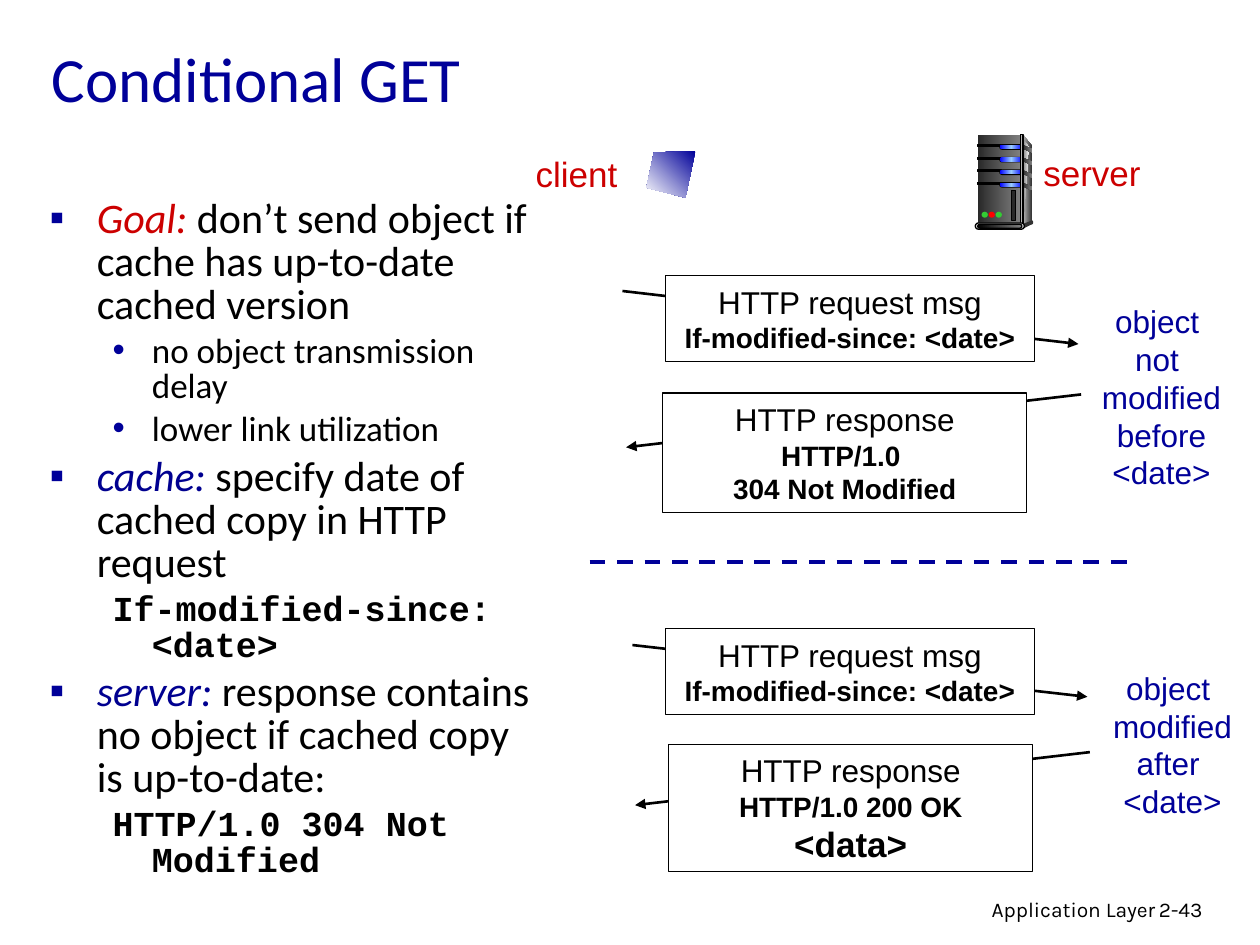
from pptx import Presentation
from pptx.dml.color import RGBColor
from pptx.enum.dml import MSO_LINE_DASH_STYLE as Dash
from pptx.enum.shapes import MSO_CONNECTOR, MSO_SHAPE as Kind
from pptx.enum.text import MSO_ANCHOR as Anchor, PP_ALIGN as Align
from pptx.oxml.ns import qn
from pptx.util import Pt
from lxml.etree import SubElement

BLACK, WHITE, NAVY, BLUE, RED = "000000", "FFFFFF", "000099", "000090", "CC0000"
GLOW = ["0000FF", "99CCFF", "0000FF"]
STEEL = ["292929", "808080"]


def color(code):
    return RGBColor.from_string(code)


def style_span(span, size, code, font="Arial", bold=False, italic=False):
    span.font.size = Pt(size)
    span.font.name = font
    span.font.bold = bold
    span.font.italic = italic
    span.font.color.rgb = color(code)


def add_text(page, bounds, text, size, code, font="Arial", align=Align.LEFT,
             anchor=Anchor.TOP, wrap=True):
    box = page.shapes.add_textbox(*map(Pt, bounds))
    frame = box.text_frame
    frame.text = text
    frame.word_wrap = wrap
    frame.vertical_anchor = anchor
    for para in frame.paragraphs:
        para.alignment = align
        for span in para.runs:
            style_span(span, size, code, font)


def paint(shape, fill, outline=None, angle=0):
    """Fill with one colour, or with a gradient when given a list of colours."""
    shape.shadow.inherit = False
    if isinstance(fill, list):
        shape.fill.gradient()
        gradient = shape.element.spPr.find(qn("a:gradFill"))
        stops = gradient.find(qn("a:gsLst"))
        stops.clear()
        for index, code in enumerate(fill):
            position = str(100000 * index // (len(fill) - 1))
            stop = SubElement(stops, qn("a:gs"), pos=position)
            SubElement(stop, qn("a:srgbClr"), val=code)
        gradient.find(qn("a:lin")).set("ang", str(angle * 60000))
    else:
        shape.fill.solid()
        shape.fill.fore_color.rgb = color(fill)
    if outline:
        shape.line.color.rgb = color(outline)
        shape.line.width = Pt(0.75)
    else:
        shape.line.fill.background()


def add_part(shapes, kind, bounds, fill, outline=None):
    shape = shapes.add_shape(kind, *map(Pt, bounds))
    if kind == Kind.ROUNDED_RECTANGLE:
        shape.adjustments[0] = 0.5
    paint(shape, fill, outline)
    return shape


def add_polygon(shapes, points, fill, angle=0):
    corners = [(Pt(x), Pt(y)) for x, y in points]
    builder = shapes.build_freeform(*corners[0], scale=1.0)
    builder.add_line_segments(corners[1:], close=True)
    paint(builder.convert_to_shape(), fill, angle=angle)


def add_line(page, start, end, code=BLACK, width=1.5, arrow=True):
    line = page.shapes.add_connector(MSO_CONNECTOR.STRAIGHT, *map(Pt, start + end))
    line.line.color.rgb = color(code)
    line.line.width = Pt(width)
    if arrow:
        SubElement(line.line._get_or_add_ln(), qn("a:tailEnd"), type="triangle")
    else:
        line.line.dash_style = Dash.DASH
    SubElement(line.element.spPr, qn("a:effectLst"))


def add_message(page, start, end, bounds, lines):
    """An arrow with a box over it; lines are (text, size), the first one plain."""
    add_line(page, start, end)
    box = add_part(page.shapes, Kind.RECTANGLE, bounds, WHITE, BLACK)
    frame = box.text_frame
    frame.word_wrap = True
    frame.vertical_anchor = Anchor.MIDDLE
    frame.text = "\n".join(text for text, size in lines)
    for index, (para, (text, size)) in enumerate(zip(frame.paragraphs, lines)):
        para.alignment = Align.CENTER
        style_span(para.runs[0], size, BLACK, bold=index > 0)


def add_bullet(para, mark):
    props = para._p.get_or_add_pPr()
    SubElement(SubElement(props, qn("a:buClr")), qn("a:srgbClr"), val=NAVY)
    SubElement(props, qn("a:buFont"), typeface="Arial")
    SubElement(props, qn("a:buChar"), char=mark)


def add_body(page):
    points = [
        ("goal", "Goal:", " don’t send object if cache has up-to-date cached version"),
        ("sub", "no object transmission delay"),
        ("sub", "lower link utilization"),
        ("point", "cache: ", "specify date of cached copy in HTTP request"),
        ("code", "If-modified-since: <date>"),
        ("point", "server: ",
         "response contains no object if cached copy is up-to-date:"),
        ("code", "HTTP/1.0 304 Not Modified"),
    ]
    box = page.shapes.add_textbox(Pt(21.2), Pt(110.2), Pt(294.5), Pt(403.9))
    frame = box.text_frame
    frame.word_wrap = True
    for index, (role, *texts) in enumerate(points):
        para = frame.add_paragraph() if index else frame.paragraphs[0]
        main_point = len(texts) == 2
        size = 24 if main_point else 20
        para.level = 0 if main_point else 1
        margin, indent = (27, -27) if main_point else (58.5, -22.5)
        props = para._p.get_or_add_pPr()
        props.set("marL", str(Pt(margin)))
        props.set("indent", str(Pt(indent)))
        if role != "code":
            add_bullet(para, "▪" if main_point else "•")
        para.line_spacing = 0.85
        if index:
            para.space_before = Pt(size * 0.2)
        for text in texts:
            para.add_run().text = text
        font = "Courier New" if role == "code" else "Calibri"
        for span in para.runs:
            style_span(span, size, BLACK, font, bold=role == "code")
        if main_point:
            lead = RED if role == "goal" else BLUE
            style_span(para.runs[0], size, lead, font, italic=True)


def add_server(page):
    parts = page.shapes.add_group_shape().shapes
    bar, pill, dot = Kind.RECTANGLE, Kind.ROUNDED_RECTANGLE, Kind.OVAL
    add_polygon(parts, [(584.6, 77), (589.7, 83.5), (589.7, 126.7), (583.2, 128.9)],
                ["DDDDDD", "333333"])
    add_part(parts, bar, (558.7, 77, 24.5, 51.8), STEEL)
    add_polygon(parts, [(584.6, 79.9), (588.2, 84.2), (584.6, 127.4)],
                ["808080", "F8F8F8"])
    for bay in range(4):
        top = 82.4 + 7.2 * bay
        add_part(parts, bar, (558.7, top + 0.4, 13.7, 1), BLACK, BLACK)
        add_part(parts, pill, (571, top, 13.7, 3.2), BLACK)
        add_part(parts, pill, (571.4, top + 0.4, 13, 2.3), GLOW)
        add_polygon(parts, [(584.3, top + 0.4), (589.8, top + 2.8),
                            (589.8, top + 4.8), (584.3, top + 2.4)], STEEL)
    add_part(parts, bar, (583.2, 77, 1.4, 51.8), ["333333", "DDDDDD", "333333"], BLACK)
    add_part(parts, dot, (589, 126, 1.4, 2.2), "333333")
    add_polygon(parts, [(583.9, 128.2), (583.9, 131), (589.7, 128.2), (589.7, 126)],
                "333333")
    add_part(parts, pill, (557.3, 127.4, 28.1, 3.6), "DDDDDD", BLACK)
    add_part(parts, pill, (558.7, 128.2, 25.2, 2.2), ["000000", "808080"], BLACK)
    for index, code in enumerate(["33CC33", "FF0000", "33CC33"]):
        add_part(parts, dot, (560.9 + 4 * index, 121, 3.6, 3.4), code)
    add_part(parts, bar, (578.2, 108.7, 2.2, 17.3), "292929", BLACK)


def main():
    deck = Presentation()
    deck.slide_width, deck.slide_height = Pt(720), Pt(540)
    page = deck.slides.add_slide(deck.slide_layouts[6])
    add_text(page, (439.2, 509, 228.2, 22.3), "Application Layer", 12, BLACK,
             "Karla", Align.RIGHT)
    add_text(page, (655.2, 509, 53.3, 21.6), "2-43", 12, BLACK, "Karla")
    add_text(page, (22.6, 15.1, 627.1, 58.3), "Conditional GET", 36, NAVY,
             "Calibri", anchor=Anchor.MIDDLE)
    add_body(page)

    request = [("HTTP request msg", 18), ("If-modified-since: <date>", 16)]
    unchanged = [("HTTP response", 18), ("HTTP/1.0 ", 16), ("304 Not Modified", 16)]
    changed = [("HTTP response", 18), ("HTTP/1.0 200 OK", 16), ("<data>", 20)]
    add_message(page, (355.7, 166.3), (616.3, 196.6), (380.2, 157.4, 211, 49), request)
    add_message(page, (617.8, 225.4), (357.8, 255.6), (378.7, 224.6, 208.1, 68.4),
                unchanged)
    add_line(page, (337, 321.1), (644.4, 321.1), NAVY, 2.25, arrow=False)
    add_message(page, (361.4, 368.6), (621.4, 398.2), (380.2, 359.2, 211, 49), request)
    add_message(page, (622.8, 429.8), (362.9, 460.1), (382.1, 425.4, 208.1, 72.7),
                changed)

    labels = [
        ((622.3, 169.2, 82.8, 115.2), "object \nnot \nmodified\nbefore\n<date>", 18, NAVY),
        ((628.6, 378.7, 82.8, 93.6), "object \nmodified\nafter \n<date>", 18, NAVY),
        ((298.8, 83.5, 61.2, 31), "client", 20, RED),
        ((585, 83.2, 78, 31), "server", 20, RED),
    ]
    for bounds, text, size, code in labels:
        add_text(page, bounds, text, size, code, align=Align.CENTER, wrap=False)
    add_server(page)
    add_polygon(page.shapes, [(397.4, 86.4), (373.7, 87.1), (369.4, 107.3), (391.7, 113)],
                [NAVY, WHITE], angle=135)
    deck.save("out.pptx")


if __name__ == "__main__":
    main()
